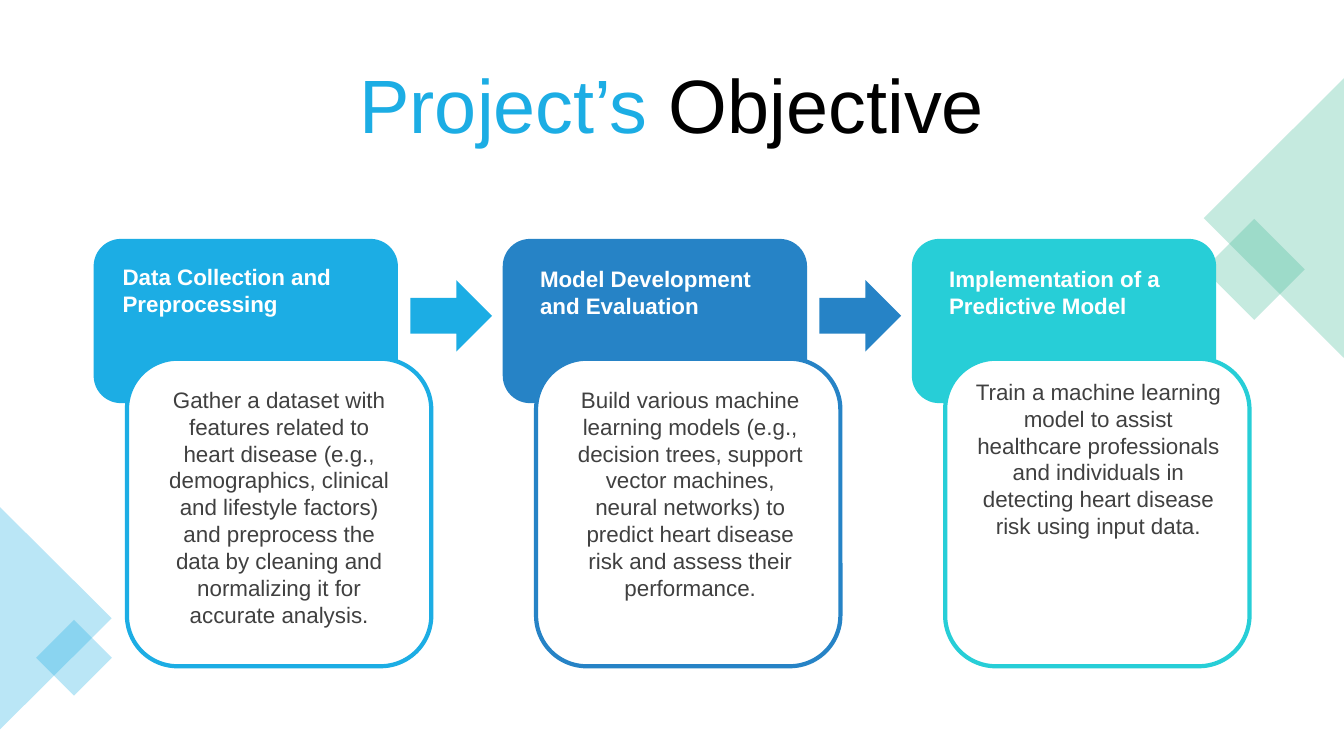
from dataclasses import dataclass

from pptx import Presentation
from pptx.dml.color import RGBColor
from pptx.enum.shapes import MSO_SHAPE
from pptx.enum.text import MSO_ANCHOR, PP_ALIGN
from pptx.oxml.xmlchemy import OxmlElement
from pptx.util import Cm, Pt

ROUNDED = MSO_SHAPE.ROUNDED_RECTANGLE
RECTANGLE = MSO_SHAPE.RECTANGLE
TRIANGLE = MSO_SHAPE.ISOSCELES_TRIANGLE
ARROW = MSO_SHAPE.RIGHT_ARROW
TOP, MIDDLE = MSO_ANCHOR.TOP, MSO_ANCHOR.MIDDLE
LEFT, CENTER = PP_ALIGN.LEFT, PP_ALIGN.CENTER


@dataclass(frozen=True)
class Theme:
    """Colours, font and type sizes of the slide."""
    sky: str = "1CADE4"
    blue: str = "2683C6"
    teal: str = "27CED7"
    green: str = "42BA97"
    white: str = "FFFFFF"
    black: str = "000000"
    body: str = "404040"
    font: str = "Arial"
    title_size: int = 54
    text_size: int = 16
    outline: int = 3
    decor_opacity: int = 30


class SlideBuilder:
    """Draws styled elements on the current slide."""

    def __init__(self, slide, theme):
        self.slide = slide
        self.theme = theme

    def shape(self, kind, box, fill, outline=None, rotation=0, opacity=100):
        """Add a preset shape at a box given in centimetres."""
        figure = self.slide.shapes.add_shape(kind, *map(Cm, box))
        figure.shadow.inherit = False
        figure.rotation = rotation
        figure.fill.solid()
        figure.fill.fore_color.rgb = RGBColor.from_string(fill)
        if outline:
            figure.line.color.rgb = RGBColor.from_string(outline)
            figure.line.width = Pt(self.theme.outline)
        else:
            figure.line.fill.background()
        if opacity < 100:
            alpha = OxmlElement("a:alpha")
            alpha.set("val", str(opacity * 1000))
            figure.fill._xPr.find(".//{*}srgbClr").append(alpha)

    def decor(self, kind, box, fill, rotation):
        """Add a translucent corner ornament."""
        self.shape(kind, box, fill, rotation=rotation, opacity=self.theme.decor_opacity)

    def text(self, box, *runs, size, bold=False, align=LEFT, anchor=TOP):
        """Add a text box of (words, colour) runs."""
        frame = self.slide.shapes.add_textbox(*map(Cm, box)).text_frame
        frame.word_wrap = True
        frame.vertical_anchor = anchor
        paragraph = frame.paragraphs[0]
        paragraph.alignment = align
        for words, colour in runs:
            run = paragraph.add_run()
            run.text = words
            run.font.name = self.theme.font
            run.font.size = Pt(size)
            run.font.bold = bold
            run.font.color.rgb = RGBColor.from_string(colour)

    def stage(self, left, colour, heading, heading_at, detail, detail_box):
        """Add one stage: coloured header, outlined card and their texts."""
        theme = self.theme
        self.shape(ROUNDED, (left, 6.02, 7.67, 4.14), colour)
        self.shape(ROUNDED, (left + 0.84, 9.04, 7.67, 7.75), theme.white, outline=colour)
        indent, top = heading_at
        self.text((left + indent, top, 6.48, 1.63), (heading, theme.white),
                  size=theme.text_size, bold=True)
        indent, top, width, height = detail_box
        self.text((left + indent, top, width, height), (detail, theme.body),
                  size=theme.text_size, align=CENTER)


def main():
    """Build the objective slide and save it."""
    theme = Theme()
    deck = Presentation()
    deck.slide_width, deck.slide_height = Cm(33.87), Cm(19.05)
    builder = SlideBuilder(deck.slides.add_slide(deck.slide_layouts[6]), theme)

    builder.text((1.78, 1.02, 30.3, 3.15),
                 ("Project’s ", theme.sky), ("Objective", theme.black),
                 size=theme.title_size, align=CENTER, anchor=MIDDLE)

    builder.decor(RECTANGLE, (30.71, 5.89, 1.8, 1.8), theme.green, 45)
    builder.decor(TRIANGLE, (28.58, 3.73, 7.04, 3.53), theme.green, 270)
    builder.decor(TRIANGLE, (-1.4, 14.17, 5.61, 2.82), theme.sky, 90)
    builder.decor(RECTANGLE, (1.19, 15.9, 1.35, 1.35), theme.sky, 45)

    stages = [
        (theme.sky, "Data Collection and Preprocessing", (0.48, 6.5),
         "Gather a dataset with features related to heart disease (e.g., demographics, "
         "clinical and lifestyle factors) and preprocess the data by cleaning and "
         "normalizing it for accurate analysis.", (1.55, 9.6, 6.25, 3.38)),
        (theme.blue, "Model Development and Evaluation", (0.69, 6.55),
         "Build various machine learning models (e.g., decision trees, support vector "
         "machines, neural networks) to predict heart disease risk and assess their "
         "performance.", (1.6, 9.6, 6.25, 3.2)),
        (theme.teal, "Implementation of a Predictive Model", (0.69, 6.55),
         "Train a machine learning model to assist healthcare professionals and "
         "individuals in detecting heart disease risk using input data.",
         (1.22, 9.4, 6.96, 5.59)),
    ]
    first_left, step = 2.36, 10.31
    for index, (colour, *content) in enumerate(stages):
        left = first_left + index * step
        builder.stage(left, colour, *content)
        if index < len(stages) - 1:
            builder.shape(ARROW, (left + 7.98, 7.06, 2.06, 1.8), colour)

    deck.save("out.pptx")


if __name__ == "__main__":
    main()
